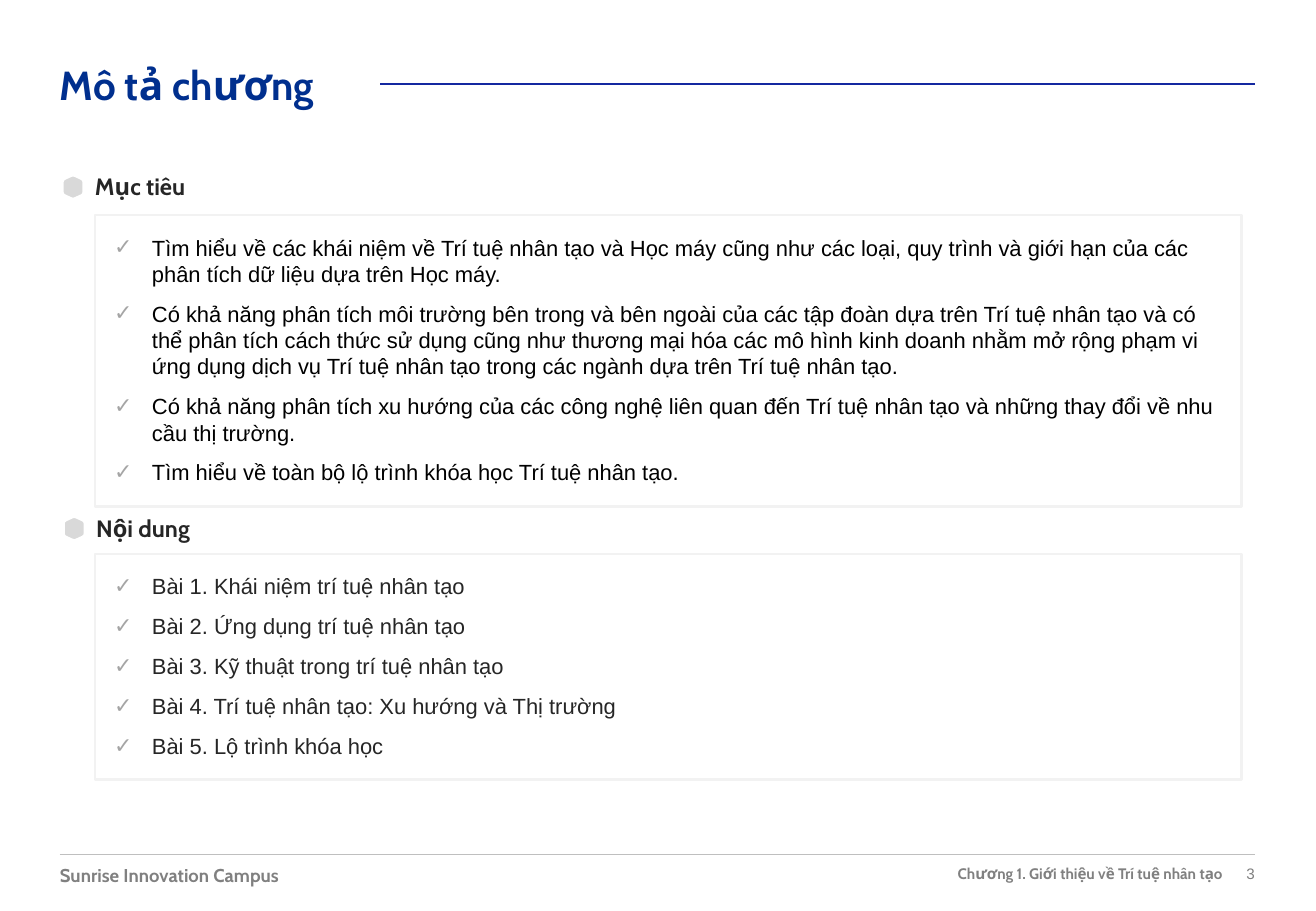
from lxml.etree import SubElement
from pptx import Presentation
from pptx.dml.color import RGBColor
from pptx.enum.shapes import MSO_CONNECTOR, MSO_SHAPE
from pptx.enum.text import MSO_ANCHOR, MSO_AUTO_SIZE, PP_ALIGN
from pptx.oxml.ns import qn
from pptx.util import Pt

TITLE = "Mô tả chương"
CAMPUS = "Sunrise Innovation Campus"
CHAPTER = "Chương 1. Giới thiệu về Trí tuệ nhân tạo"
PAGE_NUMBER = "3"

NAVY = RGBColor(0x00, 0x2F, 0x8E)
BLUE = RGBColor(0x14, 0x28, 0xA0)
BLACK = RGBColor(0x00, 0x00, 0x00)
CHARCOAL = RGBColor(0x26, 0x26, 0x26)
GRAY = RGBColor(0x80, 0x80, 0x80)
CHECK_GRAY = RGBColor(0xA5, 0xA5, 0xA5)
RULE_GRAY = RGBColor(0xBF, 0xBF, 0xBF)
MARKER_GRAY = RGBColor(0xD9, 0xD9, 0xD9)
FRAME_GRAY = RGBColor(0xF2, 0xF2, 0xF2)
WHITE = RGBColor(0xFF, 0xFF, 0xFF)

SECTIONS = [
    {
        "heading": "Mục tiêu",
        "heading_at": (56.3, 102.2),
        "frame_top": 127.4,
        "frame_height": 172.8,
        "color": BLACK,
        "items": [
            "Tìm hiểu về các khái niệm về Trí tuệ nhân tạo và Học máy cũng như các loại, quy trình và giới hạn của các phân tích dữ liệu dựa trên Học máy.",
            "Có khả năng phân tích môi trường bên trong và bên ngoài của các tập đoàn dựa trên Trí tuệ nhân tạo và có thể phân tích cách thức sử dụng cũng như thương mại hóa các mô hình kinh doanh nhằm mở rộng phạm vi ứng dụng dịch vụ Trí tuệ nhân tạo trong các ngành dựa trên Trí tuệ nhân tạo.",
            "Có khả năng phân tích xu hướng của các công nghệ liên quan đến Trí tuệ nhân tạo và những thay đổi về nhu cầu thị trường.",
            "Tìm hiểu về toàn bộ lộ trình khóa học Trí tuệ nhân tạo.",
        ],
    },
    {
        "heading": "Nội dung",
        "heading_at": (57, 304.6),
        "frame_top": 328.3,
        "frame_height": 133.9,
        "color": CHARCOAL,
        "items": [
            "Bài 1. Khái niệm trí tuệ nhân tạo",
            "Bài 2. Ứng dụng trí tuệ nhân tạo",
            "Bài 3. Kỹ thuật trong trí tuệ nhân tạo",
            "Bài 4. Trí tuệ nhân tạo: Xu hướng và Thị trường",
            "Bài 5. Lộ trình khóa học",
        ],
    },
]

SLIDE_WIDTH, SLIDE_HEIGHT = 780, 540
MARGIN_LEFT, MARGIN_RIGHT = 35.5, 743.8
FRAME_LEFT, FRAME_WIDTH = 56.3, 679.6
FRAME_INSET = 11.4
BULLET_INDENT = 22.4
MARKER_WIDTH, MARKER_HEIGHT = 17.2, 18.8
MARKER_OFFSET = (-21.6, -0.7)
MARKER_CORNER = [(0, 6.2), (0.6, 4), (2.2, 2.6), (6.5, 0.6), (8.6, 0)]


def prepare_frame(shape, inset=0, anchor=MSO_ANCHOR.TOP):
    frame = shape.text_frame
    frame.word_wrap = True
    frame.auto_size = MSO_AUTO_SIZE.SHAPE_TO_FIT_TEXT
    frame.vertical_anchor = anchor
    frame.margin_left = frame.margin_right = Pt(inset)
    frame.margin_top = frame.margin_bottom = Pt(inset)
    return frame


def add_text_run(paragraph, text, size, color, font_name, bold=False):
    run = paragraph.add_run()
    run.text = text
    run.font.size = Pt(size)
    run.font.name = font_name
    run.font.bold = bold
    run.font.color.rgb = color


def add_label(slide, box, text, size, color, font_name="Cabin", bold=True,
              alignment=PP_ALIGN.LEFT, anchor=MSO_ANCHOR.TOP):
    label = slide.shapes.add_textbox(*map(Pt, box))
    paragraph = prepare_frame(label, anchor=anchor).paragraphs[0]
    paragraph.alignment = alignment
    add_text_run(paragraph, text, size, color, font_name, bold)


def add_rule(slide, left, right, y, color, width):
    rule = slide.shapes.add_connector(
        MSO_CONNECTOR.STRAIGHT, Pt(left), Pt(y), Pt(right), Pt(y))
    rule.line.color.rgb = color
    rule.line.width = Pt(width)
    SubElement(rule._element.spPr, qn("a:effectLst"))


def add_marker(slide, left, top):
    upper = MARKER_CORNER + [(MARKER_WIDTH - x, y) for x, y in MARKER_CORNER[-2::-1]]
    lower = [(x, MARKER_HEIGHT - y) for x, y in reversed(upper)]
    points = [(Pt(left + x), Pt(top + y)) for x, y in upper + lower]
    builder = slide.shapes.build_freeform(*points[0])
    builder.add_line_segments(points[1:], close=True)
    marker = builder.convert_to_shape()
    marker.shadow.inherit = False
    marker.fill.solid()
    marker.fill.fore_color.rgb = MARKER_GRAY
    marker.line.color.rgb = WHITE
    marker.line.width = Pt(6)


def add_check_bullet(paragraph):
    properties = paragraph._p.get_or_add_pPr()
    properties.set("marL", str(Pt(BULLET_INDENT)))
    properties.set("indent", str(-Pt(BULLET_INDENT)))
    bullet_color = SubElement(properties, qn("a:buClr"))
    SubElement(bullet_color, qn("a:srgbClr"), val=str(CHECK_GRAY))
    SubElement(properties, qn("a:buFont"), typeface="Arial")
    SubElement(properties, qn("a:buChar"), char="✓")


def add_checklist(slide, section):
    box = (FRAME_LEFT, section["frame_top"], FRAME_WIDTH, section["frame_height"])
    shape = slide.shapes.add_shape(MSO_SHAPE.RECTANGLE, *map(Pt, box))
    shape.shadow.inherit = False
    shape.fill.background()
    shape.line.color.rgb = FRAME_GRAY
    shape.line.width = Pt(1.5)
    frame = prepare_frame(shape, FRAME_INSET)
    for index, item in enumerate(section["items"]):
        paragraph = frame.add_paragraph() if index else frame.paragraphs[0]
        add_check_bullet(paragraph)
        paragraph.alignment = PP_ALIGN.LEFT
        paragraph.space_after = Pt(8)
        add_text_run(paragraph, item, 13, section["color"], "Arial")


def add_section(slide, section):
    left, top = section["heading_at"]
    add_checklist(slide, section)
    add_label(slide, (left, top, FRAME_WIDTH, 17), section["heading"], 14, CHARCOAL)
    add_marker(slide, left + MARKER_OFFSET[0], top + MARKER_OFFSET[1])


def add_footer(slide):
    add_rule(slide, MARGIN_LEFT, MARGIN_RIGHT, 506.2, RULE_GRAY, 0.5)
    add_label(slide, (MARGIN_LEFT, 512, 227.5, 13.4), CAMPUS, 11, GRAY)
    add_label(slide, (373, 512, 351.4, 10.9), CHAPTER, 9, GRAY,
              alignment=PP_ALIGN.RIGHT, anchor=MSO_ANCHOR.MIDDLE)
    add_label(slide, (695.5, 512, 48.3, 10.9), PAGE_NUMBER, 9, GRAY, "Arial", False,
              PP_ALIGN.RIGHT, MSO_ANCHOR.MIDDLE)


def main():
    presentation = Presentation()
    presentation.slide_width = Pt(SLIDE_WIDTH)
    presentation.slide_height = Pt(SLIDE_HEIGHT)
    slide = presentation.slides.add_slide(presentation.slide_layouts[6])
    add_footer(slide)
    for section in SECTIONS:
        add_section(slide, section)
    add_label(slide, (MARGIN_LEFT, 35.3, 691, 29), TITLE, 24, NAVY)
    add_rule(slide, 225.4, MARGIN_RIGHT, 49.7, BLUE, 1)
    presentation.save("out.pptx")


if __name__ == "__main__":
    main()
